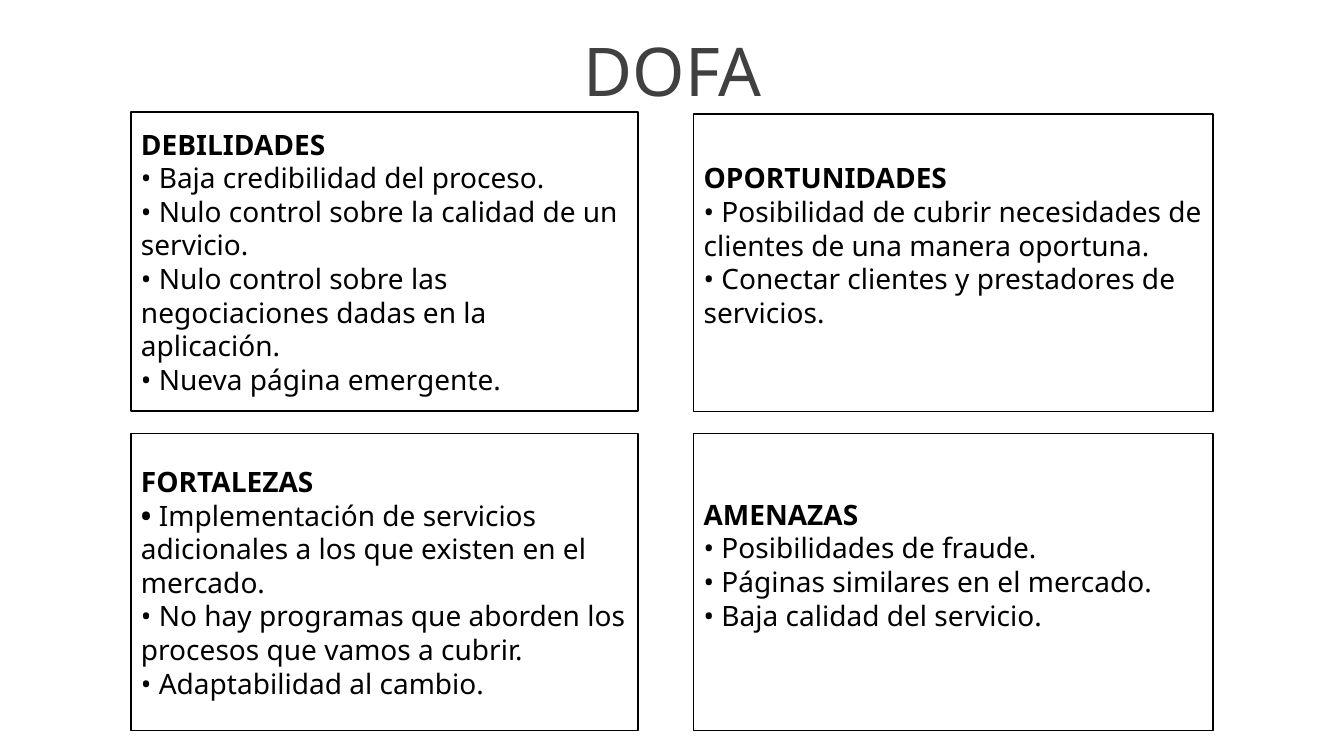
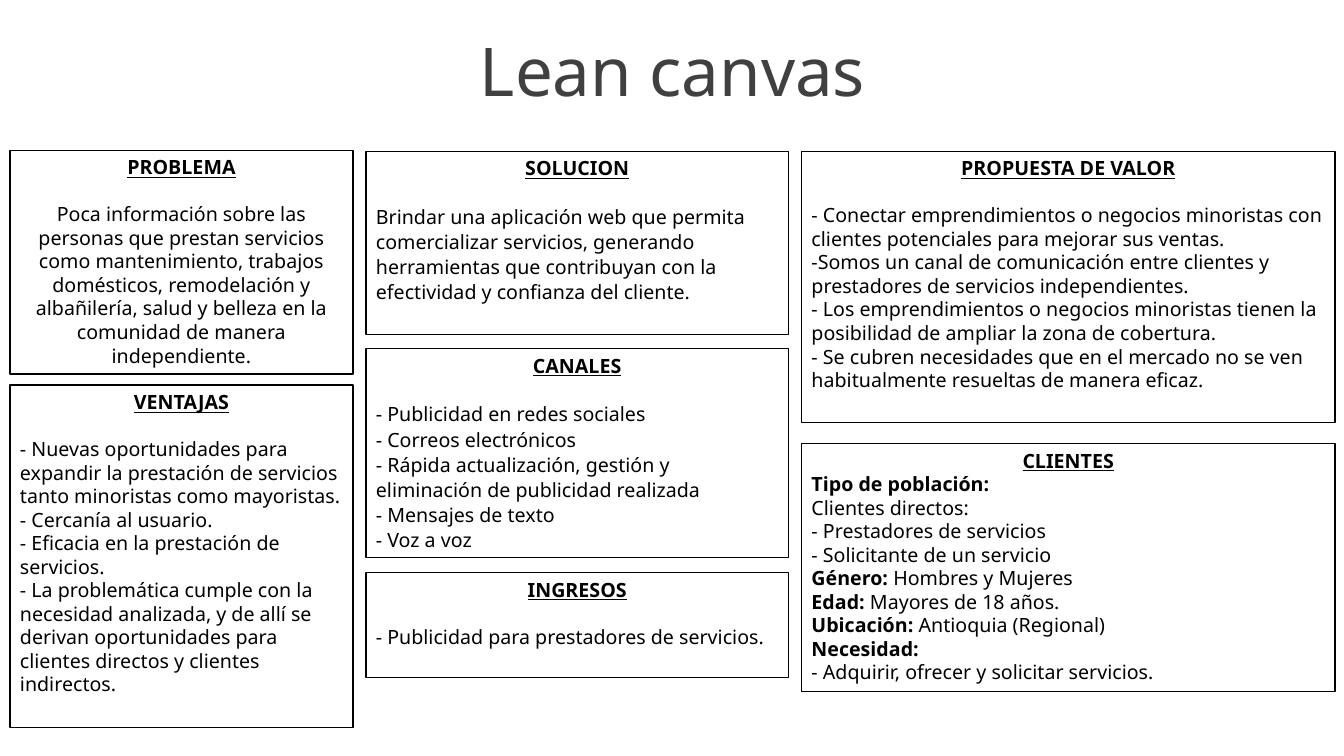
from pptx import Presentation
from pptx.dml.color import RGBColor
from pptx.enum import shapes, text
from pptx.util import Inches, Pt

COLORS = {"title": "404040", "ink": "000000", "paper": "FFFFFF"}
FONT = "Noto Sans"
LEADING = 1.2
TITLE_BOX = (2.7, 0.24, 7.94, 0.91)

# Each line is plain text or a (bold, plain) pair.
SWOT = [
    ((1.3, 1.11, 5.03, 2.97), "DEBILIDADES", [
        "• Baja credibilidad del proceso.",
        "• Nulo control sobre la calidad de un servicio.",
        "• Nulo control sobre las negociaciones dadas en la aplicación.",
        "• Nueva página emergente."], {}),
    ((6.88, 1.13, 5.15, 2.95), "OPORTUNIDADES", [
        "• Posibilidad de cubrir necesidades de clientes de una manera oportuna.",
        "• Conectar clientes y prestadores de servicios."], {"bottom": 0.4}),
    ((1.3, 4.3, 5.03, 2.95), "FORTALEZAS", [
        ("• ", "Implementación de servicios adicionales a los que existen en el mercado."),
        "• No hay programas que aborden los procesos que vamos a cubrir.",
        "• Adaptabilidad al cambio."], {}),
    ((6.88, 4.3, 5.15, 2.95), "AMENAZAS", [
        "• Posibilidades de fraude.",
        "• Páginas similares en el mercado.",
        "• Baja calidad del servicio."], {"bottom": 0.4}),
]

CANVAS = [
    ((0.1, 1.49, 3.4, 2.22), "PROBLEMA", [
        "Poca información sobre las personas que prestan servicios como "
        "mantenimiento, trabajos domésticos, remodelación y albañilería, salud y "
        "belleza en la comunidad de manera independiente."],
     {"align": text.PP_ALIGN.CENTER}),
    ((0.1, 3.82, 3.4, 3.4), "VENTAJAS", [
        "- Nuevas oportunidades para expandir la prestación de servicios tanto "
        "minoristas como mayoristas.",
        "- Cercanía al usuario.",
        "- Eficacia en la prestación de servicios.",
        "- La problemática cumple con la necesidad analizada, y de allí se derivan "
        "oportunidades para clientes directos y clientes indirectos."], {}),
    ((3.63, 1.5, 4.19, 1.82), "SOLUCION", [
        "Brindar una aplicación web que permita comercializar servicios, generando "
        "herramientas que contribuyan con la efectividad y confianza del cliente."],
     {"spacing": 1.07}),
    ((3.63, 3.46, 4.19, 2.07), "CANALES", [
        "- Publicidad en redes sociales",
        "- Correos electrónicos",
        "- Rápida actualización, gestión y eliminación de publicidad realizada",
        "- Mensajes de texto",
        "- Voz a voz"], {"spacing": 1.07}),
    ((3.63, 5.68, 4.19, 1.04), "INGRESOS", [
        "- Publicidad para prestadores de servicios."], {}),
    ((7.95, 1.5, 5.29, 2.69), "PROPUESTA DE VALOR", [
        "- Conectar emprendimientos o negocios minoristas con clientes potenciales "
        "para mejorar sus ventas.",
        "-Somos un canal de comunicación entre clientes y prestadores de servicios "
        "independientes.",
        "- Los emprendimientos o negocios minoristas tienen la posibilidad de ampliar "
        "la zona de cobertura.",
        "- Se cubren necesidades que en el mercado no se ven habitualmente resueltas "
        "de manera eficaz."], {}),
    ((7.95, 4.4, 5.29, 2.46), "CLIENTES", [
        ("Tipo de población:", ""),
        "Clientes directos:",
        "- Prestadores de servicios",
        "- Solicitante de un servicio",
        ("Género: ", "Hombres y Mujeres"),
        ("Edad: ", "Mayores de 18 años."),
        ("Ubicación: ", "Antioquia (Regional)"),
        ("Necesidad:", ""),
        "- Adquirir, ofrecer y solicitar servicios."], {"gap": False}),
]


def color(name):
    return RGBColor.from_string(COLORS[name])


def format_paragraph(p, size, ink="ink", align=text.PP_ALIGN.LEFT, spacing=1):
    p.alignment = align
    p.line_spacing = Pt(size * LEADING * spacing)
    p.space_before = p.space_after = Pt(0)
    p.font.name, p.font.size = FONT, Pt(size)
    p.font.color.rgb = color(ink)


def add_titled_slide(prs, title):
    slide = prs.slides.add_slide(prs.slide_layouts[5])
    sp = slide.shapes.title
    sp.left, sp.top, sp.width, sp.height = map(Inches, TITLE_BOX)
    tf = sp.text_frame
    tf.text = title
    tf.auto_size = text.MSO_AUTO_SIZE.NONE
    tf.vertical_anchor = text.MSO_ANCHOR.TOP
    format_paragraph(tf.paragraphs[0], 48, "title", text.PP_ALIGN.CENTER)
    return slide


def add_frame(slide, box, anchor, bottom=0.05):
    """Add an outlined rectangle and return its text frame."""
    sp = slide.shapes.add_shape(shapes.MSO_SHAPE.RECTANGLE, *map(Inches, box))
    sp.shadow.inherit = False
    sp.fill.solid()
    sp.fill.fore_color.rgb = color("paper")
    sp.line.color.rgb = color("ink")
    sp.line.width = Pt(1)
    tf = sp.text_frame
    tf.word_wrap = True
    tf.vertical_anchor = anchor
    tf.margin_bottom = Inches(bottom)
    return tf


def add_heading(tf, heading, size, **style):
    p = tf.paragraphs[0]
    p.text = heading
    format_paragraph(p, size, **style)
    p.font.bold = True
    return p


def add_lines(tf, lines, size, **style):
    for line in lines:
        p = tf.add_paragraph()
        format_paragraph(p, size, **style)
        bold, plain = line if isinstance(line, tuple) else ("", line)
        for words, is_bold in ((bold, True), (plain, False)):
            if words:
                r = p.add_run()
                r.text = words
                r.font.bold = is_bold


def add_swot_box(slide, box, heading, lines, bottom=0.05):
    tf = add_frame(slide, box, text.MSO_ANCHOR.MIDDLE, bottom)
    add_heading(tf, heading, 20)
    add_lines(tf, lines, 20)


def add_canvas_box(slide, box, heading, lines, gap=True, **style):
    """Add a box with an underlined heading, set off by one line if gap is true."""
    size = 14
    tf = add_frame(slide, box, text.MSO_ANCHOR.TOP)
    p = add_heading(tf, heading, size, align=text.PP_ALIGN.CENTER)
    p.font.underline = True
    if gap:
        p.space_after = Pt(size * LEADING)
    add_lines(tf, lines, size, **style)


def main():
    prs = Presentation()
    prs.slide_width, prs.slide_height = Inches(13.33), Inches(7.5)
    for title, boxes, add_box in (("DOFA", SWOT, add_swot_box),
                                  ("Lean canvas", CANVAS, add_canvas_box)):
        slide = add_titled_slide(prs, title)
        for box, heading, lines, options in boxes:
            add_box(slide, box, heading, lines, **options)
    prs.save("out.pptx")


if __name__ == "__main__":
    main()
